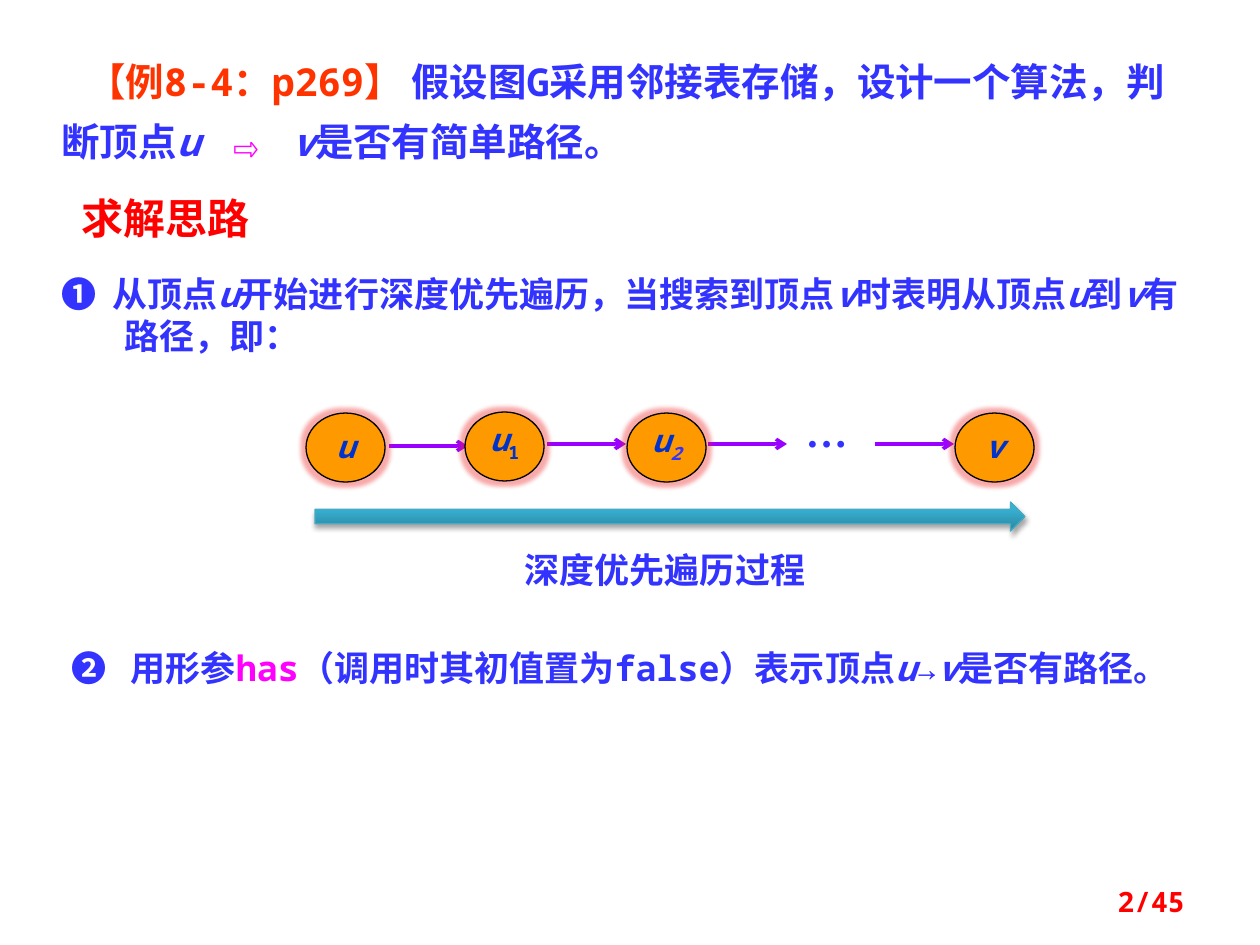
import copy

import pptx
import pptx.dml.color
import pptx.enum.shapes
import pptx.enum.text
import pptx.oxml
import pptx.oxml.ns
import pptx.util

RGB = pptx.dml.color.RGBColor
BLUE = RGB(0x33, 0x33, 0xFF)
NODE_BLUE = RGB(0x00, 0x33, 0xCC)
RED = RGB(0xFF, 0x00, 0x00)
ORANGE_RED = RGB(0xFF, 0x33, 0x00)
MAGENTA = RGB(0xFF, 0x00, 0xFF)
PURPLE = RGB(0x99, 0x00, 0xFF)
ORANGE = RGB(0xFF, 0x99, 0x00)
BLACK = RGB(0x00, 0x00, 0x00)
TEAL_EDGE = RGB(0x46, 0xAA, 0xC5)
TEAL_STOPS = [(0, RGB(0x2A, 0x88, 0xA2)), (0.8, RGB(0x37, 0xB1, 0xD2)),
              (1, RGB(0x34, 0xB4, 0xD6))]

MONO = "Noto Sans Mono"
CJK = "Noto Sans CJK SC"
SERIF = "Times New Roman"
LEFT = pptx.enum.text.PP_ALIGN.LEFT
CENTER = pptx.enum.text.PP_ALIGN.CENTER
RIGHT = pptx.enum.text.PP_ALIGN.RIGHT
TOP = pptx.enum.text.MSO_ANCHOR.TOP
MIDDLE = pptx.enum.text.MSO_ANCHOR.MIDDLE
SHAPES = pptx.enum.shapes.MSO_SHAPE

NODE_WIDTH, NODE_HEIGHT = 79, 69
ARROW_LENGTH = 79

GLOW = '<a:glow {} rad="63500"><a:srgbClr val="F02828"><a:alpha val="40000"/></a:srgbClr></a:glow>'
SHADOW = ('<a:outerShdw {} blurRad="39370" dist="22860" dir="5400000" rotWithShape="0">'
          '<a:srgbClr val="000000"><a:alpha val="35000"/></a:srgbClr></a:outerShdw>')


def px(length):
    return pptx.util.Emu(round(length * 914400 / 126))


def drawing_xml(template):
    return pptx.oxml.parse_xml(template.format(pptx.oxml.ns.nsdecls("a")))


def write(frame, spans, size, font=MONO, align=LEFT, anchor=TOP, leading=None):
    """Fill a frame with spans of (text, colour, options)."""
    frame.word_wrap = True
    frame.auto_size = pptx.enum.text.MSO_AUTO_SIZE.NONE
    frame.vertical_anchor = anchor
    paragraph = frame.paragraphs[0]
    paragraph.alignment = align
    paragraph.space_before = pptx.util.Pt(0)
    if leading:
        paragraph.line_spacing = pptx.util.Pt(leading)
    for text, colour, options in spans:
        run = paragraph.add_run()
        run.text = text
        run.font.name = font
        run.font.size = pptx.util.Pt(size)
        run.font.bold = True
        run.font.italic = options.get("italic", False)
        run.font.color.rgb = colour
        properties = run.font._element
        for name in ("baseline", "spc"):
            if name in options:
                properties.set(name, str(options[name]))
        properties.find(pptx.oxml.ns.qn("a:latin")).addnext(
            drawing_xml(f'<a:ea {{}} typeface="{CJK}"/>'))
    return paragraph


def plain(text, colour=BLUE, **options):
    return text, colour, options


def variable(text, colour=BLUE, **options):
    return text, colour, {"italic": True, **options}


def indent(paragraph, margin, first_line):
    properties = paragraph._p.get_or_add_pPr()
    properties.set("marL", str(px(margin)))
    properties.set("indent", str(px(first_line)))


def place(shape, left, top, width, height):
    shape.left, shape.top = px(left), px(top)
    shape.width, shape.height = px(width), px(height)


def add_text(slide, box, spans, size, **style):
    text_box = slide.shapes.add_textbox(*map(px, box))
    return write(text_box.text_frame, spans, size, **style)


def fill_step(placeholder, box, spans):
    """Write one numbered step with a hanging indent."""
    place(placeholder, *box)
    paragraph = write(placeholder.text_frame, spans, 20)
    indent(paragraph, 63, -63)
    paragraph._p.get_or_add_pPr().append(drawing_xml("<a:buNone {}/>"))


def set_effect(shape, template):
    shape.shadow.inherit = False
    effects = shape._element.spPr.find(pptx.oxml.ns.qn("a:effectLst"))
    effects.append(drawing_xml(template))


def add_node(slide, left, top, spans):
    node = slide.shapes.add_shape(
        SHAPES.OVAL, px(left), px(top), px(NODE_WIDTH), px(NODE_HEIGHT))
    node.fill.solid()
    node.fill.fore_color.rgb = ORANGE
    node.line.color.rgb = BLACK
    node.line.width = pptx.util.Pt(0.75)
    set_effect(node, GLOW)
    node.text_frame.margin_left = node.text_frame.margin_right = 0
    write(node.text_frame, spans, 18, align=CENTER, leading=20)


def add_edge(slide, left, y):
    edge = slide.shapes.add_connector(
        pptx.enum.shapes.MSO_CONNECTOR.STRAIGHT,
        px(left), px(y), px(left + ARROW_LENGTH), px(y))
    edge.line.color.rgb = PURPLE
    edge.line.width = pptx.util.Pt(2)
    edge.line._get_or_add_ln().append(drawing_xml('<a:tailEnd {} type="arrow"/>'))
    edge._element.spPr.append(drawing_xml("<a:effectLst {}/>"))


def add_traversal_arrow(slide, box):
    arrow = slide.shapes.add_shape(SHAPES.RIGHT_ARROW, *map(px, box))
    arrow.fill.gradient()
    arrow.fill.gradient_angle = 90
    stop_list = next(arrow._element.spPr.iter(pptx.oxml.ns.qn("a:gsLst")))
    stop_list.append(copy.deepcopy(stop_list[-1]))
    for stop, (position, colour) in zip(arrow.fill.gradient_stops, TEAL_STOPS):
        stop.position = position
        stop.color.rgb = colour
    arrow.line.color.rgb = TEAL_EDGE
    arrow.line.width = pptx.util.Pt(0.75)
    set_effect(arrow, SHADOW)


def add_path_diagram(slide):
    nodes = [
        (306, 413, [variable("u", NODE_BLUE)]),
        (465, 412, [variable("u", NODE_BLUE), plain("1", NODE_BLUE, baseline=-25000)]),
        (627, 413, [variable("u", NODE_BLUE), variable("2", baseline=-25000)]),
        (955, 413, [variable("v", NODE_BLUE)]),
    ]
    edges = [(389, 446), (547, 444), (708, 444), (875, 444)]
    for node, edge in zip(nodes, edges):
        add_edge(slide, *edge)
        add_node(slide, *node)
    add_text(slide, (787, 399, 79, 63), [plain("…")], 24, font=SERIF, align=CENTER)
    add_traversal_arrow(slide, (315, 502, 710, 29))
    add_text(slide, (493, 542, 344, 55), [plain("深度优先遍历过程")], 20,
             font=SERIF, align=CENTER)


def main():
    deck = pptx.Presentation()
    deck.slide_width, deck.slide_height = px(1260), px(945)
    slide = deck.slides.add_slide(deck.slide_layouts.get_by_name("Two Content"))
    heading, first_step, second_step = slide.placeholders

    problem = add_text(slide, (49, 39, 1152, 132), [
        plain("【例8-4：p269】 ", ORANGE_RED),
        plain("假设图G采用邻接表存储，设计一个算法，判断顶点"),
        variable("u "), plain("⇨ ", MAGENTA), variable("v"),
        plain("是否有简单路径。"),
    ], 22, leading=34)
    indent(problem, 0, 26)

    place(heading, 69, 186, 217, 63)
    write(heading.text_frame, [plain("求解思路", RED)], 24, font=CJK)

    fill_step(first_step, (49, 266, 1171, 97), [
        plain("❶ ", spc=230), plain("从顶点"), variable("u"),
        plain("开始进行深度优先遍历，当搜索到顶点"), variable("v"),
        plain("时表明从顶点"), variable("u"), plain("到"), variable("v"),
        plain("有路径，即："),
    ])
    add_path_diagram(slide)
    fill_step(second_step, (59, 640, 1160, 55), [
        plain("❷ ", spc=460), plain("用形参"), plain("has", MAGENTA),
        plain("（调用时其初值置为false）表示顶点"),
        variable("u"), plain("→"), variable("v"), plain("是否有路径。"),
    ])
    add_text(slide, (903, 876, 294, 50), [plain("2/45", RED)], 16,
             align=RIGHT, anchor=MIDDLE)
    deck.save("out.pptx")


if __name__ == "__main__":
    main()
